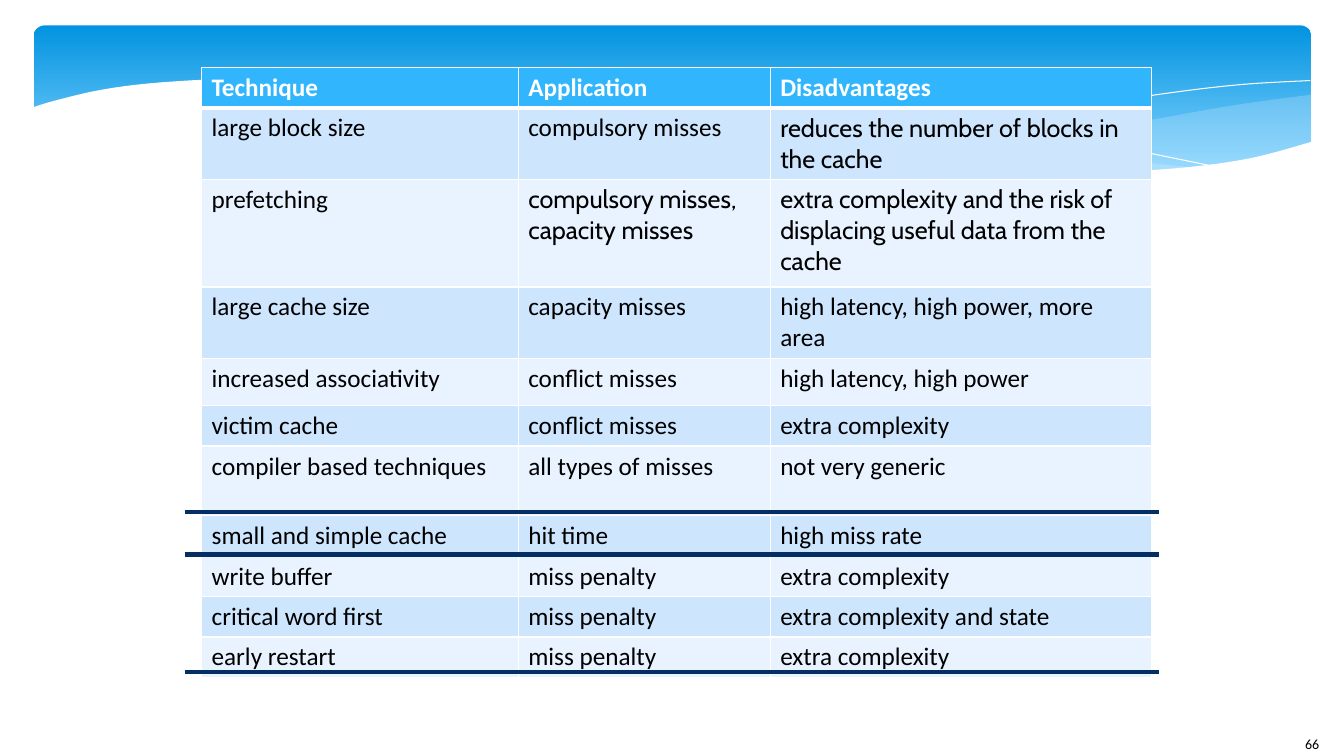
from dataclasses import dataclass

from lxml.etree import SubElement
from pptx import Presentation
from pptx.dml.color import RGBColor as Rgb
from pptx.enum.shapes import MSO_CONNECTOR as Link, MSO_SHAPE as Kind
from pptx.oxml.ns import qn
from pptx.util import Cm, Pt


@dataclass(frozen=True)
class Theme:
    white: str = "FFFFFF"
    black: str = "000000"
    deep: str = "0293E0"
    pale: str = "83D3FE"
    veil: str = "C6E7FC"
    head: str = "31B6FD"
    bands: tuple = ("CEE5FE", "E8F3FF")
    rule: str = "052E65"
    font: str = "Calibri"
    alt: str = "Cabin"
    body: int = 18
    small: int = 10


THEME = Theme()

ROWS = [
    ("Technique", "Application", "Disadvantages"),
    ("large block size", "compulsory misses", "reduces the number of blocks in the cache"),
    ("prefetching", "compulsory misses, capacity misses",
     "extra complexity and the risk of displacing useful data from the cache"),
    ("large cache size", "capacity misses", "high latency, high power, more area"),
    ("increased associativity", "conflict misses", "high latency, high power"),
    ("victim cache", "conflict misses", "extra complexity"),
    ("compiler based techniques", "all types of misses", "not very generic"),
    ("small and simple cache", "hit time", "high miss rate"),
    ("write buffer", "miss penalty", "extra complexity"),
    ("critical word first", "miss penalty", "extra complexity and state"),
    ("early restart", "miss penalty", "extra complexity"),
]
WIDTHS = (7.98, 6.35, 9.6)
LOW = 1.02
HEIGHTS = (LOW, 1.8, 2.71, 1.8, 1.19, LOW, 1.75, LOW, LOW, LOW, LOW)
ALT_CELLS = {(1, 2), (2, 1), (2, 2)}

RIGHT_VEIL = [
    [(33.02, 2.39), (31.17, 2.64), (29.13, 3), (26.37, 3.48), (24.69, 3.73), (22.4, 4.06)],
    [(22.4, 4.06), (24.33, 4.22), (26.44, 4.34), (28.27, 4.37), (30.12, 4.24),
     (31.67, 3.96), (33.05, 3.61)],
    [(33.05, 2.39)],
]
MID_VEIL = [
    [(30.23, 4.24), (27.33, 3.91), (23.9, 3.4), (21.31, 2.95), (18.8, 2.54),
     (16.56, 2.26), (14.22, 2.08), (12.24, 2.03), (10.62, 2.08), (9.7, 2.18)],
    [(9.7, 2.18), (11.58, 2.39), (13.69, 2.69), (15.21, 2.95), (17.93, 3.43),
     (20.37, 3.81), (23.04, 4.14), (25.35, 4.32), (27.69, 4.39), (29.36, 4.32),
     (30.23, 4.24)],
]
FALL = [[(10.46, 2.29), (11.94, 2.13), (14.1, 2.06), (16.56, 2.13), (18.85, 2.31),
         (21.54, 2.62), (24.64, 3.05), (26.92, 3.45), (30.73, 4.22)]]
RISE = [[(20.78, 3.84), (23.55, 3.3), (26.29, 2.82), (29.34, 2.36), (31.29, 2.13),
         (33.02, 2.03)]]
WAVE = [
    [(33.1, 3.56), (31.5, 3.99), (29.64, 4.24), (27.38, 4.34), (24.61, 4.24),
     (21.18, 3.89), (17.93, 3.38), (15.14, 2.9), (12.34, 2.44), (9.91, 2.16),
     (7.77, 2.01), (5.97, 1.98), (4.01, 2.08), (2.57, 2.26), (1.37, 2.54), (0.79, 2.72)],
    [(0.79, 5.69), (33.1, 5.69)],
]


def blend(a, b, c, d, t):
    return (2 * b + (c - a) * t + (2 * a - 5 * b + 4 * c - d) * t ** 2
            + (3 * b - a - 3 * c + d) * t ** 3) / 2


def smooth(knots, steps=5):
    if len(knots) < 3:
        return knots
    ends = [knots[0], *knots, knots[-1]]
    dots = [tuple(blend(*axis, i / steps) for axis in zip(*ends[k:k + 4]))
            for k in range(len(knots) - 1) for i in range(steps)]
    return dots + [knots[-1]]


def add_free(slide, runs, fill=None, alpha=100):
    dots = [(x * 1000, y * 1000) for run in runs for x, y in smooth(run)]
    path = slide.shapes.build_freeform(*dots[0], scale=Cm(1) / 1000)
    path.add_line_segments(dots[1:], close=fill is not None)
    shape = path.convert_to_shape()
    shape.shadow.inherit = False
    if fill is None:
        shape.fill.background()
        shape.line.color.rgb = Rgb.from_string(THEME.white)
        shape.line.width = Pt(0)
        return
    shape.line.fill.background()
    shape.fill.solid()
    shape.fill.fore_color.rgb = Rgb.from_string(fill)
    if alpha < 100:
        tint = shape.fill._xPr.find(".//" + qn("a:srgbClr"))
        SubElement(tint, qn("a:alpha"), val=str(alpha * 1000))


def add_banner(slide):
    shape = slide.shapes.add_shape(Kind.ROUNDED_RECTANGLE, Cm(0.85), Cm(0.64), Cm(32.2), Cm(3.96))
    shape.adjustments[0] = 0.07
    shape.shadow.inherit = False
    shape.line.fill.background()
    shape.fill.gradient()
    shape.fill.gradient_angle = 270
    marks = ((0, THEME.deep), (0.9, THEME.pale))
    for stop, (place, tone) in zip(shape.fill.gradient_stops, marks):
        stop.position = place
        stop.color.rgb = Rgb.from_string(tone)


def set_text(frame, text, size, tone, font=THEME.font, bold=False):
    frame.text = text
    for run in frame.paragraphs[0].runs:
        run.font.size = Pt(size)
        run.font.name = font
        run.font.bold = bold
        run.font.color.rgb = Rgb.from_string(tone)


def set_edges(cell, base):
    props = cell._tc.get_or_add_tcPr()
    sides = (("L", 1), ("R", 1), ("T", 1), ("B", base))
    for spot, (side, width) in enumerate(sides):
        edge = SubElement(props, qn("a:ln" + side), w=str(Pt(width)))
        fill = SubElement(edge, qn("a:solidFill"))
        SubElement(fill, qn("a:srgbClr"), val=THEME.white)
        props.insert(spot, edge)


def add_grid(slide):
    frame = slide.shapes.add_table(len(ROWS), len(WIDTHS), Cm(5.08), Cm(1.7),
                                   Cm(sum(WIDTHS)), Cm(sum(HEIGHTS)))
    grid = frame.table
    for col, width in zip(grid.columns, WIDTHS):
        col.width = Cm(width)
    for r, (row, height) in enumerate(zip(ROWS, HEIGHTS)):
        grid.rows[r].height = Cm(height)
        top = r == 0
        for c, text in enumerate(row):
            cell = grid.cell(r, c)
            cell.fill.solid()
            cell.fill.fore_color.rgb = Rgb.from_string(
                THEME.head if top else THEME.bands[(r - 1) % 2])
            set_edges(cell, 3 if top else 1)
            set_text(cell.text_frame, text, THEME.body,
                     THEME.white if top else THEME.black,
                     THEME.alt if (r, c) in ALT_CELLS else THEME.font, top)


def add_rule(slide, y):
    line = slide.shapes.add_connector(Link.STRAIGHT, Cm(4.65), Cm(y), Cm(29.21), Cm(y))
    line.line.color.rgb = Rgb.from_string(THEME.rule)
    line.line.width = Pt(3)
    SubElement(line._element.spPr, qn("a:effectLst"))


def add_page(slide, text):
    box = slide.shapes.add_textbox(Cm(32.64), Cm(18.42), Cm(1.2), Cm(0.6))
    box.text_frame.word_wrap = True
    set_text(box.text_frame, text, THEME.small, THEME.black)


def main():
    deck = Presentation()
    deck.slide_width, deck.slide_height = Cm(33.87), Cm(19.05)
    slide = deck.slides.add_slide(deck.slide_layouts[6])
    add_banner(slide)
    add_free(slide, RIGHT_VEIL, THEME.veil, 29)
    add_free(slide, MID_VEIL, THEME.veil, 40)
    add_free(slide, FALL)
    add_free(slide, RISE)
    add_free(slide, WAVE, THEME.white)
    add_page(slide, "66")
    add_grid(slide)
    for y in (12.9, 13.97, 16.94):
        add_rule(slide, y)
    deck.save("out.pptx")


if __name__ == "__main__":
    main()
